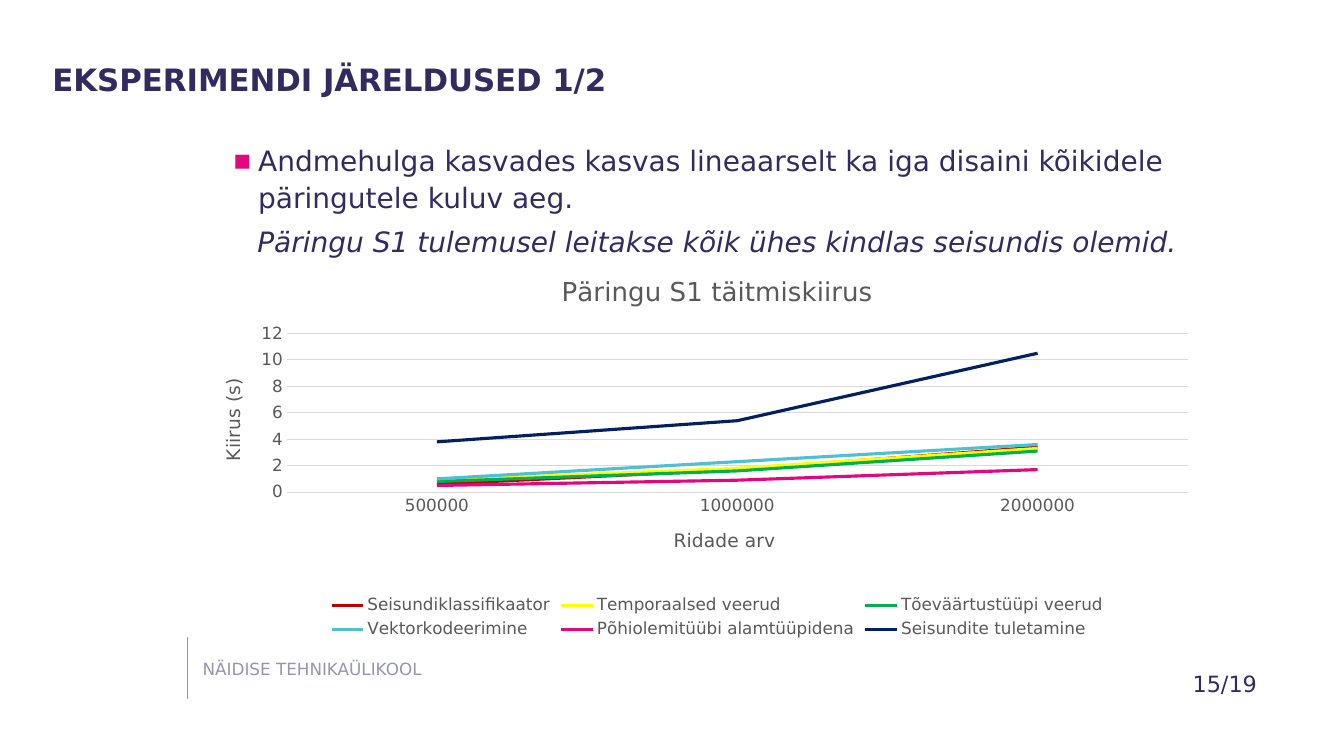
from dataclasses import dataclass

from lxml.etree import SubElement
from pptx import Presentation
from pptx.chart.data import CategoryChartData as ChartData
from pptx.dml.color import RGBColor
from pptx.enum.chart import XL_CHART_TYPE as ChartType
from pptx.enum.chart import XL_LEGEND_POSITION as LegendPosition
from pptx.enum.chart import XL_TICK_MARK as TickMark
from pptx.enum.shapes import MSO_CONNECTOR as Connector
from pptx.enum.text import PP_ALIGN as Align
from pptx.oxml import parse_xml
from pptx.oxml.ns import nsdecls, qn
from pptx.util import Inches, Pt

FONT = "DejaVu Sans"
COLORS = {
    "ink": "332B60", "footer": "9396B0", "accent": "E4067E", "label": "595959",
    "grid": "D9D9D9", "red": "C00000", "yellow": "FFFF00", "green": "00B050",
    "sky": "4FBFD3", "navy": "002060",
}


@dataclass(frozen=True)
class Area:
    """A rectangle in percent of the slide's width and height."""
    left: float
    top: float
    width: float
    height: float


@dataclass(frozen=True)
class Design:
    """Query times in seconds of one database design."""
    name: str
    color: str
    seconds: tuple[float, ...]


ROW_COUNTS = ("500000", "1000000", "2000000")
DESIGNS = (
    Design("Seisundiklassifikaator", "red", (0.6, 1.7, 3.4)),
    Design("Temporaalsed veerud", "yellow", (0.9, 1.8, 3.3)),
    Design("Tõeväärtustüüpi veerud", "green", (0.8, 1.6, 3.1)),
    Design("Vektorkodeerimine", "sky", (1, 2.3, 3.6)),
    Design("Põhiolemitüübi alamtüüpidena", "accent", (0.5, 0.9, 1.7)),
    Design("Seisundite tuletamine", "navy", (3.8, 5.4, 10.5)),
)

deck = Presentation()
deck.slide_width, deck.slide_height = Inches(13.33), Inches(7.5)
page = deck.slides.add_slide(deck.slide_layouts[6])


def across(share: float) -> int:
    """Turn a percentage of the slide's width into a length."""
    return round(deck.slide_width * share / 100)


def down(share: float) -> int:
    """Turn a percentage of the slide's height into a length."""
    return round(deck.slide_height * share / 100)


def bounds(area: Area) -> tuple[int, int, int, int]:
    """Give left, top, width and height of an area."""
    return across(area.left), down(area.top), across(area.width), down(area.height)


def rgb(name: str) -> RGBColor:
    """Look up a named colour."""
    return RGBColor.from_string(COLORS[name])


def style(font, size: float, color: str, bold: bool = False, italic: bool = False) -> None:
    """Set face, size, colour and emphasis of a font."""
    font.name, font.size = FONT, Pt(size)
    font.bold, font.italic = bold, italic
    font.color.rgb = rgb(color)


def add_box(area: Area, inset: tuple[float, float] = (0, 0)):
    """Add a wrapping text box and return its text frame."""
    frame = page.shapes.add_textbox(*bounds(area)).text_frame
    frame.word_wrap = True
    frame.margin_left = frame.margin_right = Inches(inset[0])
    frame.margin_top = frame.margin_bottom = Inches(inset[1])
    return frame


def write(para, text: str, *, size: float, color: str = "ink", bold: bool = False,
          italic: bool = False, align: Align = Align.LEFT, spacing: float = 1,
          before: float = 0, after: float = 0) -> None:
    """Write one formatted span into a paragraph."""
    para.alignment, para.line_spacing = align, spacing
    para.space_before, para.space_after = Pt(before), Pt(after)
    span = para.add_run()
    span.text = text
    style(span.font, size, color, bold, italic)


def add_bullet(para, character: str, color: str, indent: float) -> None:
    """Give a paragraph a coloured bullet with a hanging indent."""
    props = para._p.get_or_add_pPr()
    props.set("marL", str(Inches(indent)))
    props.set("indent", str(-Inches(indent)))
    bullet_color = SubElement(props, qn("a:buClr"))
    SubElement(bullet_color, qn("a:srgbClr")).set("val", COLORS[color])
    SubElement(props, qn("a:buFont")).set("typeface", FONT)
    SubElement(props, qn("a:buChar")).set("char", character)


def add_rule(x: float, top: float, bottom: float) -> None:
    """Draw the thin vertical rule beside the footer."""
    rule = page.shapes.add_connector(
        Connector.STRAIGHT, across(x), down(top), across(x), down(bottom))
    rule.line.color.rgb, rule.line.width = rgb("footer"), Pt(0.5)
    SubElement(rule._element.spPr, qn("a:effectLst"))


def add_title(holder, text: str, size: float) -> None:
    """Title a chart or an axis."""
    holder.has_title = True
    title = holder.chart_title if hasattr(holder, "chart_title") else holder.axis_title
    write(title.text_frame.paragraphs[0], text, size=size, color="label", align=Align.CENTER)


def set_plot_area(chart, **shares: float) -> None:
    """Fix the inner plot area as shares of the chart."""
    plot_area = chart._chartSpace.chart.plotArea
    for layout in plot_area.findall(qn("c:layout")):
        plot_area.remove(layout)
    values = '<c:layoutTarget val="inner"/><c:xMode val="edge"/><c:yMode val="edge"/>'
    values += "".join(f'<c:{key} val="{share}"/>' for key, share in shares.items())
    plot_area.insert(0, parse_xml(
        f'<c:layout {nsdecls("c")}><c:manualLayout>{values}</c:manualLayout></c:layout>'))


def add_speed_chart(area: Area) -> None:
    """Draw the line chart of query time by row count."""
    data = ChartData()
    data.categories = ROW_COUNTS
    for design in DESIGNS:
        data.add_series(design.name, design.seconds)
    chart = page.shapes.add_chart(ChartType.LINE, *bounds(area), data).chart
    style(chart.font, 12, "label")
    add_title(chart, "Päringu S1 täitmiskiirus", 18.6)
    chart.chart_title.include_in_layout = False
    for axis, title in ((chart.category_axis, "Ridade arv"), (chart.value_axis, "Kiirus (s)")):
        add_title(axis, title, 13.3)
        style(axis.tick_labels.font, 12, "label")
        axis.major_tick_mark = axis.minor_tick_mark = TickMark.NONE
    value_axis = chart.value_axis
    value_axis.minimum_scale, value_axis.maximum_scale = 0, 12
    value_axis.major_unit = 2
    value_axis.format.line.fill.background()
    for line in (chart.category_axis.format.line, value_axis.major_gridlines.format.line):
        line.color.rgb, line.width = rgb("grid"), Pt(0.75)
    chart.has_legend = True
    chart.legend.position = LegendPosition.BOTTOM
    chart.legend.include_in_layout = False
    style(chart.legend.font, 12, "label")
    chart.plots[0].vary_by_categories = False
    for series, design in zip(chart.plots[0].series, DESIGNS):
        series.smooth = False
        series.format.line.color.rgb = rgb(design.color)
        series.format.line.width = Pt(2.25)
    set_plot_area(chart, x=0.07, y=0.2, w=0.9, h=0.41)


footer = add_box(Area(15.08, 87.07, 22.66, 2.53))
write(footer.paragraphs[0], "NÄIDISE TEHNIKAÜLIKOOL", size=12, color="footer")
add_rule(13.95, 84.27, 92.53)

heading = add_box(Area(3.9, 8, 86.12, 11.73))
write(heading.paragraphs[0], "EKSPERIMENDI JÄRELDUSED 1/2", size=22, bold=True)

add_speed_chart(Area(16.13, 33.87, 74.49, 51.2))

findings = add_box(Area(17.33, 18.53, 72.09, 10))
finding = findings.paragraphs[0]
write(finding, "Andmehulga kasvades kasvas lineaarselt ka iga disaini kõikidele "
      "päringutele kuluv aeg.", size=20, spacing=1.1, before=10)
add_bullet(finding, "▪", "accent", 0.25)
write(findings.add_paragraph(), "Päringu S1 tulemusel leitakse kõik ühes kindlas seisundis olemid.",
      size=20, italic=True, align=Align.CENTER, spacing=0.9, before=10, after=6)

page_number = add_box(Area(88, 88, 6.68, 4.93), inset=(0.1, 0.05))
write(page_number.paragraphs[0], "15/19", size=16)

deck.save("out.pptx")
